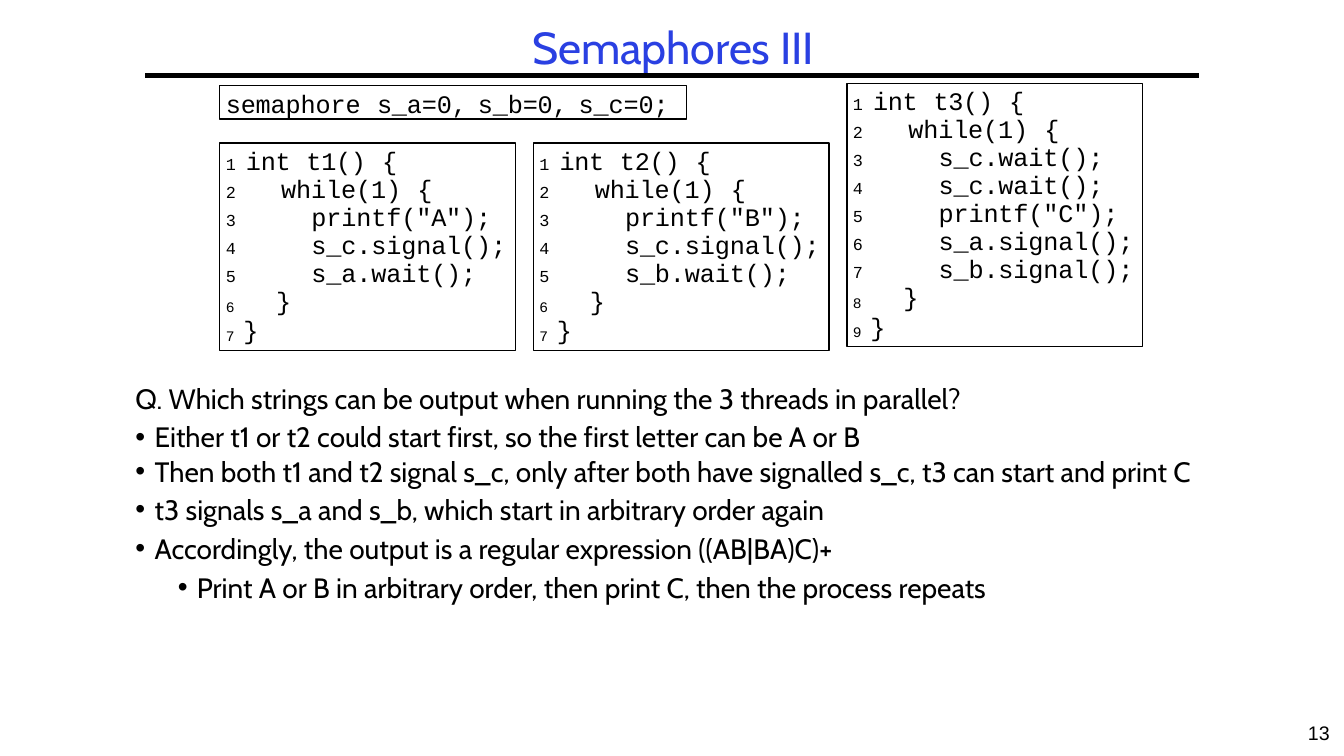
"""Build the slide on semaphores and three parallel threads."""
import pptx
import pptx.dml.color
import pptx.enum.shapes
import pptx.enum.text
import pptx.oxml.ns
import pptx.util
from lxml import etree

ALIGN = pptx.enum.text.PP_ALIGN
ANCHOR = pptx.enum.text.MSO_ANCHOR
GROW = pptx.enum.text.MSO_AUTO_SIZE.SHAPE_TO_FIT_TEXT
BLACK, BLUE = "000000", "2A40E2"
CODE, PROSE = "Courier New", "Cabin"


def color(value):
    return pptx.dml.color.RGBColor.from_string(value)


def child(parent, tag, **attributes):
    element = etree.SubElement(parent, pptx.oxml.ns.qn(tag))
    for name, value in attributes.items():
        element.set(name, str(value))
    return element


def write(paragraph, text, font=PROSE, size=20, fill=BLACK, spacing=0, baseline=0):
    run = paragraph.add_run()
    run.text = text
    run.font.name, run.font.size = font, pptx.util.Pt(size)
    run.font.color.rgb = color(fill)
    properties = run.font._element
    properties.set("spc", str(round(spacing * 100)))
    if baseline:
        properties.set("baseline", str(baseline * 1000))


class SlideBuilder:
    """Hold the current slide and its style; places are percentages of the slide."""

    def __init__(self, presentation):
        self.width = presentation.slide_width
        self.height = presentation.slide_height
        self.slide = presentation.slides.add_slide(presentation.slide_layouts[1])

    def x(self, percent):
        return round(self.width * percent / 100)

    def y(self, percent):
        return round(self.height * percent / 100)

    def area(self, left, top, width, height):
        return self.x(left), self.y(top), self.x(width), self.y(height)

    def frame(self, shape, top_inset, anchor=ANCHOR.TOP):
        frame = shape.text_frame
        frame.word_wrap, frame.auto_size = True, GROW
        frame.vertical_anchor = anchor
        frame.margin_left = frame.margin_right = frame.margin_bottom = 0
        frame.margin_top = pptx.util.Inches(top_inset)
        return frame

    def paragraph(self, frame, indent=0.0, hanging=0.0, before=0.0, line=None,
                  marker=None, tabs=(), align=ALIGN.LEFT, level=0):
        first = frame.paragraphs[0]
        paragraph = frame.add_paragraph() if first.runs else first
        paragraph.alignment, paragraph.level = align, level
        paragraph.space_before = pptx.util.Pt(before)
        if line:
            paragraph.line_spacing = pptx.util.Pt(line)
        properties = paragraph._p.get_or_add_pPr()
        properties.set("marL", str(pptx.util.Inches(indent)))
        properties.set("indent", str(pptx.util.Inches(-hanging)))
        if marker == "number":
            child(properties, "a:buSzPct", val=67000)
            child(properties, "a:buFont", typeface=CODE)
            child(properties, "a:buAutoNum", type="arabicPlain")
        elif marker:
            child(properties, "a:buFont", typeface="Arial")
            child(properties, "a:buChar", char=marker)
        else:
            child(properties, "a:buNone")
        if tabs:
            tab_list = child(properties, "a:tabLst")
            for tab in tabs:
                child(tab_list, "a:tab", pos=pptx.util.Inches(tab), algn="l")
        return paragraph

    def rule(self, left, right, top):
        line = self.slide.shapes.add_connector(
            pptx.enum.shapes.MSO_CONNECTOR.STRAIGHT,
            self.x(left), self.y(top), self.x(right), self.y(top))
        line.line.width, line.line.color.rgb = pptx.util.Pt(3), color(BLACK)
        child(line._element.spPr, "a:effectLst")

    def placeholder(self, index, area, top_inset, anchor=ANCHOR.TOP):
        shape = self.slide.placeholders[index]
        shape.left, shape.top, shape.width, shape.height = self.area(*area)
        return self.frame(shape, top_inset, anchor)

    def title(self, text, area):
        frame = self.placeholder(0, area, 0.01, ANCHOR.MIDDLE)
        paragraph = self.paragraph(frame, 0.01, before=1, align=ALIGN.CENTER)
        write(paragraph, text, size=32, fill=BLUE, spacing=-0.1)

    def answer(self, question, points, area):
        frame = self.placeholder(1, area, 0.06)
        write(self.paragraph(frame, 0.01, before=4.7), question)
        for text, level, before, line in points:
            indent = 0.2 + 0.42 * level
            paragraph = self.paragraph(frame, indent, 0.19, before, line, "•", [indent], level=level)
            write(paragraph, text)

    def box(self, area):
        shape = self.slide.shapes.add_shape(
            pptx.enum.shapes.MSO_SHAPE.RECTANGLE, *self.area(*area))
        shape.shadow.inherit = False
        shape.fill.background()
        shape.line.width, shape.line.color.rgb = pptx.util.Pt(1), color(BLACK)
        return self.frame(shape, 0.03)

    def declaration(self, text, area):
        paragraph = self.paragraph(self.box(area), 0.06, before=2.1, tabs=[1.56, 2.61, 3.66])
        write(paragraph, text, CODE, 18, spacing=-0.1)

    def thread(self, name, statements, area):
        frame = self.box(area)
        head = self.paragraph(frame, 0.26, 0.2, 2.1, 20.8, "number", [0.26, 0.86, 1.61])
        write(head, f"int\t{name}()\t{{", CODE, 18, spacing=-0.2)
        loop = self.paragraph(frame, 0.61, 0.55, 0, 20, "number", [0.61, 1.96])
        write(loop, "while(1)\t{", CODE, 18, spacing=-0.1)
        for statement in statements:
            paragraph = self.paragraph(frame, 0.91, 0.85, 0, 20, "number", [0.91])
            write(paragraph, statement + ";", CODE, 18, spacing=-0.1)
        number = len(statements) + 3
        for label, line, spacing, tabs in ((f"{number}\t", 20, -0.8, [0.61]),
                                           (f"{number + 1} ", 20.8, 0, [])):
            paragraph = self.paragraph(frame, 0.06, line=line, tabs=tabs)
            write(paragraph, label, CODE, 18, spacing=spacing, baseline=-7)
            write(paragraph, "}", CODE, 18, spacing=-0.5)

    def page_number(self, text, area):
        frame = self.slide.shapes.add_textbox(*self.area(*area)).text_frame
        frame.word_wrap = True
        write(self.paragraph(frame, align=ALIGN.CENTER), text, "Arial", 14)


def main():
    presentation = pptx.Presentation()
    presentation.slide_width = pptx.util.Inches(13.33)
    presentation.slide_height = pptx.util.Inches(7.5)
    builder = SlideBuilder(presentation)

    builder.rule(10.8, 89.2, 10)
    builder.title("Semaphores III", (10.8, 2.4, 78.54, 7.33))
    builder.answer(
        "Q. Which strings can be output when running the 3 threads in parallel?",
        [("Either t1 or t2 could start first, so the first letter can be A or B", 0, 3.7, None),
         ("Then both t1 and t2 signal s_c, only after both have signalled s_c, "
          "t3 can start and print C", 0, 4.7, 20),
         ("t3 signals s_a and s_b, which start in arbitrary order again", 0, 3.1, None),
         ("Accordingly, the output is a regular expression ((AB|BA)C)+", 0, 3.7, None),
         ("Print A or B in arbitrary order, then print C, then the process repeats", 1, 3.8, None)],
        (10, 49.6, 80, 30.8))

    left, pitch, width = 16.35, 23.33, 22
    threads = [
        ("t1", ['printf("A")', "s_c.signal()", "s_a.wait()"], 18.93, 27.47),
        ("t2", ['printf("B")', "s_c.signal()", "s_b.wait()"], 18.93, 27.47),
        ("t3", ["s_c.wait()", "s_c.wait()", 'printf("C")', "s_a.signal()", "s_b.signal()"],
         11.07, 34.8)]
    for column, (name, statements, top, height) in enumerate(threads):
        builder.thread(name, statements, (left + column * pitch, top, width, height))
    builder.declaration("semaphore\ts_a=0,\ts_b=0,\ts_c=0;", (left, 11.33, 34.73, 4.4))
    builder.page_number("13", (96.25, 94.67, 3.75, 5.33))
    presentation.save("out.pptx")


if __name__ == "__main__":
    main()
